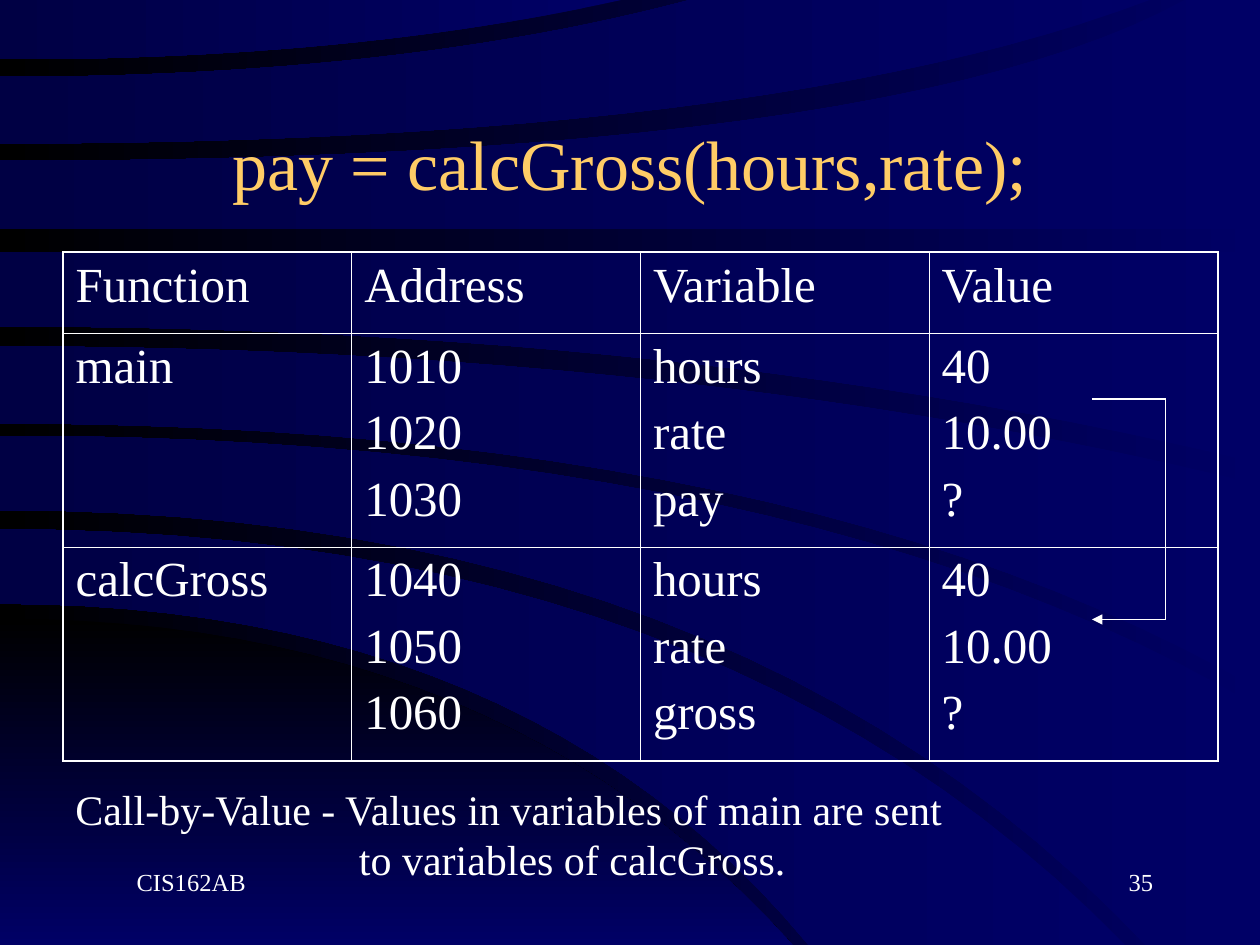
from lxml import etree
from pptx import Presentation
from pptx.dml.color import RGBColor
from pptx.enum.shapes import MSO_CONNECTOR
from pptx.enum.text import MSO_ANCHOR, PP_ALIGN
from pptx.oxml.ns import qn
from pptx.util import Pt

STRAIGHT = MSO_CONNECTOR.STRAIGHT
TOP, MIDDLE = MSO_ANCHOR.TOP, MSO_ANCHOR.MIDDLE
LEFT, CENTER, RIGHT = PP_ALIGN.LEFT, PP_ALIGN.CENTER, PP_ALIGN.RIGHT

THEME = {
    "font": "Times New Roman",
    "title": "FFCC66", "text": "FFFFFF",
    "blue": "000066", "navy": "000044", "black": "000000",
    "title_size": 40, "table_size": 28, "caption_size": 24, "footer_size": 14,
    "outer_rule": 1.08, "inner_rule": 0.45, "arrow_rule": 0.74,
}
WIDTH, HEIGHT = 720, 540
CURVE_STEPS = 24


def set_gradient(fill, start, end, angle):
    """Fill with a linear two-colour gradient at a counter-clockwise angle."""
    fill.gradient()
    fill.gradient_angle = angle
    for stop, colour in zip(fill.gradient_stops, (start, end)):
        stop.color.rgb = RGBColor.from_string(THEME[colour])


def write_text(frame, lines, size, colour="text", align=LEFT, before=0, margin=0, indent=0):
    """Write one paragraph per line with the theme font."""
    frame.word_wrap = True
    for number, line in enumerate(lines):
        paragraph = frame.add_paragraph() if number else frame.paragraphs[0]
        paragraph.text = line
        paragraph.alignment = align
        paragraph.space_before = Pt(before)
        properties = paragraph._p.get_or_add_pPr()
        properties.set("marL", str(Pt(margin)))
        properties.set("indent", str(Pt(indent)))
        font_format = {"name": THEME["font"], "size": Pt(THEME[size])}
        for run in paragraph.runs:
            for attribute, value in font_format.items():
                setattr(run.font, attribute, value)
            run.font.color.rgb = RGBColor.from_string(THEME[colour])


deck = Presentation()
deck.slide_width, deck.slide_height = Pt(WIDTH), Pt(HEIGHT)
slide = deck.slides.add_slide(deck.slide_layouts[6])
set_gradient(slide.background.fill, "blue", "black", 180)

# Each sweep lies between two curves that leave the left side level.
# A curve is its start y, the x up to which it pulls level, and its end x and y.
glow = ("black", "blue", 270)
band = ("blue", "navy", 180)
sweeps = [
    (glow, (353.5, 286, 453, HEIGHT), [], (HEIGHT, 226, 453, HEIGHT)),
    (band, (302.5, 412, 643, HEIGHT), [], (345, 301, 462, HEIGHT)),
    (band, (249, 456, WIDTH, 404.5), [(WIDTH, HEIGHT)], (291.5, 421, 654.5, HEIGHT)),
    (band, (198, 398, WIDTH, 277), [], (242, 458, WIDTH, 394.5)),
    (band, (144, 360, WIDTH, 144), [], (186.5, 402, WIDTH, 265)),
    (band, (92, 510, 677, 0), [(WIDTH, 0)], (131, 360, WIDTH, 131)),
    (band, (44, 229, 394, 0), [], (82, 440, 657, 0)),
    (band, (0, 178, 355, 0), [], (34, 202, 355, 0)),
]
for gradient, upper, corner, lower in sweeps:
    edges = []
    for start_y, pull_x, end_x, end_y in (upper, lower):
        steps = [step / CURVE_STEPS for step in range(CURVE_STEPS + 1)]
        edges.append([(2 * t * (1 - t) * pull_x + t * t * end_x,
                       start_y + t * t * (end_y - start_y)) for t in steps])
    outline = edges[0] + corner + edges[1][::-1]
    points = [(Pt(x), Pt(y)) for x, y in outline]
    builder = slide.shapes.build_freeform(*points[0], scale=1.0)
    builder.add_line_segments(points[1:], close=True)
    sweep = builder.convert_to_shape()
    sweep.shadow.inherit = False
    sweep.line.fill.background()
    set_gradient(sweep.fill, *gradient)

# Memory table: each cell is a list of lines
memory_rows = [
    [["Function"], ["Address"], ["Variable"], ["Value"]],
    [["main"], ["1010", "1020", "1030"], ["hours", "rate", "pay"], ["40", "10.00", "?"]],
    [["calcGross"], ["1040", "1050", "1060"], ["hours", "rate", "gross"], ["40", "10.00", "?"]],
]
row_heights = [46.4, 122.2, 122.2]
last_row, last_column = len(memory_rows) - 1, len(memory_rows[0]) - 1
memory = slide.shapes.add_table(
    last_row + 1, last_column + 1, Pt(36), Pt(144), Pt(660), Pt(sum(row_heights))).table
memory.first_row = memory.horz_banding = False
for row, (height, cells) in enumerate(zip(row_heights, memory_rows)):
    memory.rows[row].height = Pt(height)
    for column, lines in enumerate(cells):
        cell = memory.cell(row, column)
        write_text(cell.text_frame, lines, "table_size", before=7)
        cell.fill.background()
        properties = cell._tc.get_or_add_tcPr()
        is_outer = {"lnL": column == 0, "lnR": column == last_column,
                    "lnT": row == 0, "lnB": row == last_row}
        for position, (edge, outer) in enumerate(is_outer.items()):
            rule = etree.Element(qn(f"a:{edge}"))
            rule.set("w", str(Pt(THEME["outer_rule" if outer else "inner_rule"])))
            solid = etree.SubElement(rule, qn("a:solidFill"))
            etree.SubElement(solid, qn("a:srgbClr")).set("val", THEME["text"])
            properties.insert(position, rule)

# Arrow from the values in main to those in calcGross
corners = [(624, 228), (666, 228), (666, 354), (624, 354)]
for (x1, y1), (x2, y2) in zip(corners, corners[1:]):
    segment = slide.shapes.add_connector(STRAIGHT, Pt(x1), Pt(y1), Pt(x2), Pt(y2))
    segment.line.width = Pt(THEME["arrow_rule"])
    segment.line.color.rgb = RGBColor.from_string(THEME["text"])
    etree.SubElement(segment._element.spPr, qn("a:effectLst"))
etree.SubElement(segment.line._get_or_add_ln(), qn("a:tailEnd")).set("type", "triangle")

# Title, caption and footers: box, anchor, line, text format
texts = [
    ((54, 48, 612, 90), MIDDLE, "pay = calcGross(hours,rate);",
     {"size": "title_size", "colour": "title", "align": CENTER}),
    ((36, 444, 666, 65), TOP,
     "Call-by-Value - Values in variables of main are sent\vto variables of calcGross.",
     {"size": "caption_size", "before": 15, "margin": 162, "indent": -162}),
    ((516, 492, 150, 36), TOP, "35", {"size": "footer_size", "align": RIGHT}),
    ((54, 492, 150, 36), TOP, "CIS162AB", {"size": "footer_size", "margin": 17}),
]
for box, anchor, line, text_format in texts:
    frame = slide.shapes.add_textbox(*map(Pt, box)).text_frame
    frame.vertical_anchor = anchor
    write_text(frame, [line], **text_format)

deck.save("out.pptx")
